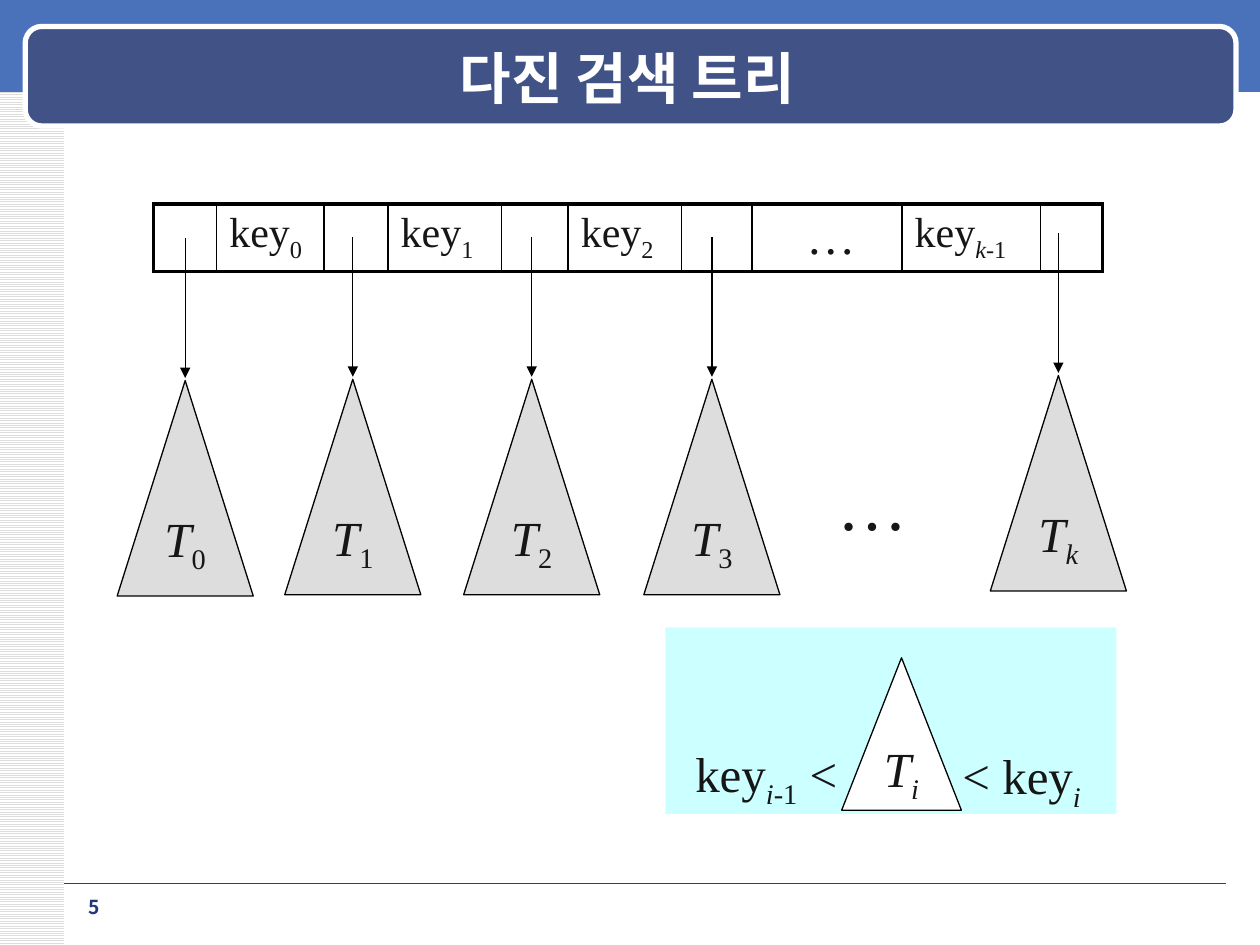
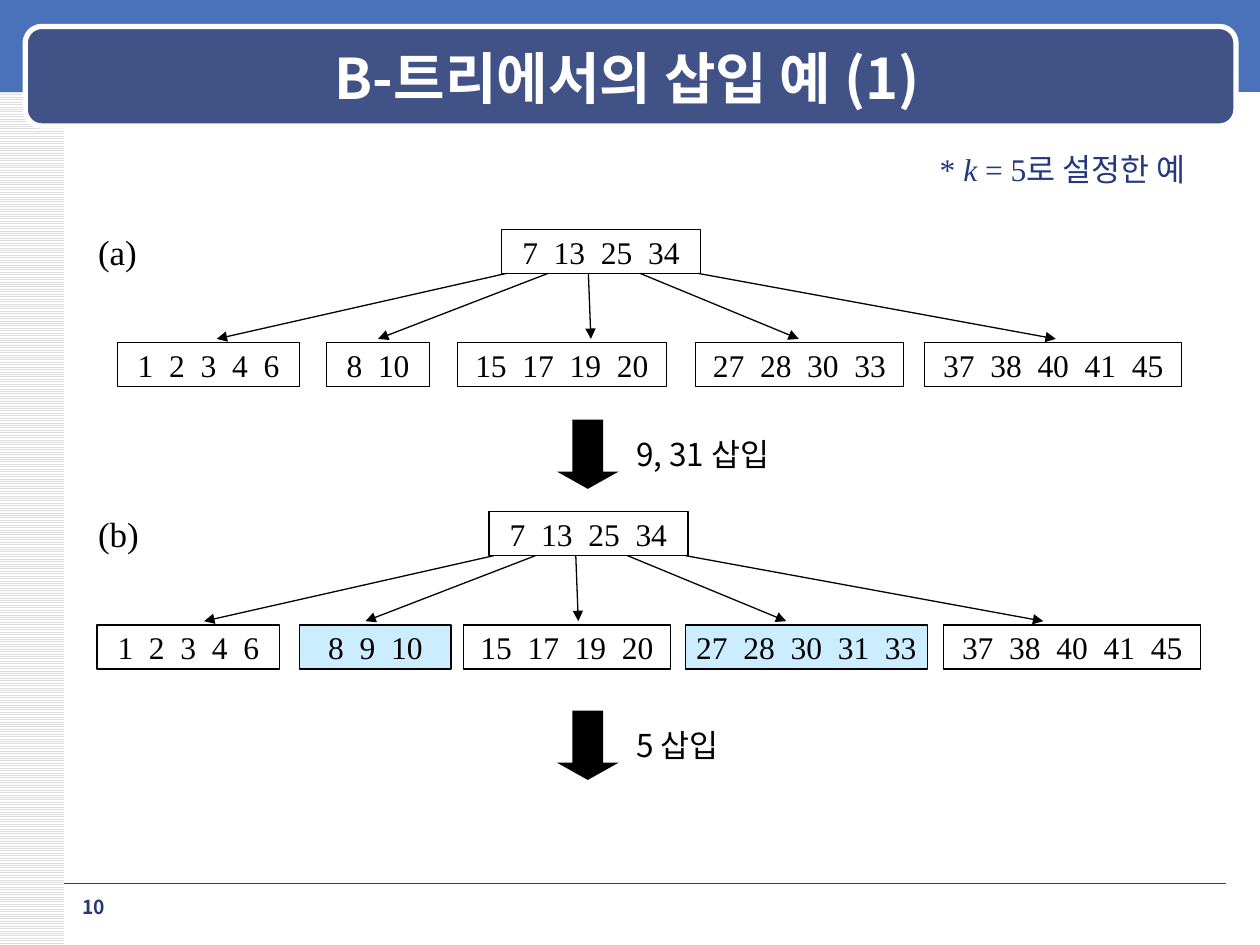
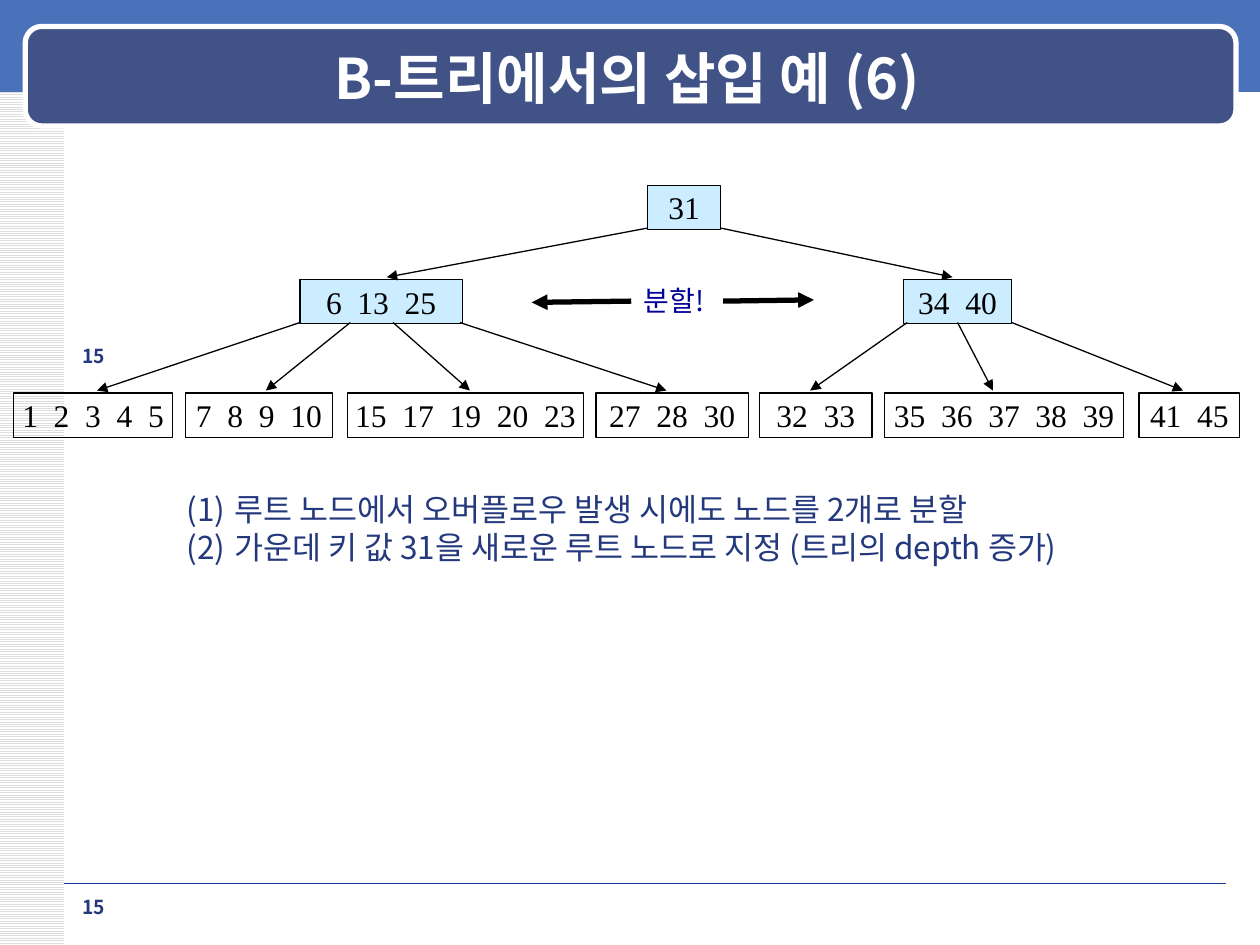
from lxml import etree
from pptx import Presentation
from pptx.dml.color import RGBColor
from pptx.enum.dml import MSO_PATTERN
from pptx.enum.shapes import MSO_CONNECTOR, MSO_SHAPE
from pptx.enum.text import MSO_ANCHOR, MSO_AUTO_SIZE, PP_ALIGN
from pptx.oxml.ns import qn
from pptx.util import Inches, Pt

RECT, ROUND = MSO_SHAPE.RECTANGLE, MSO_SHAPE.ROUNDED_RECTANGLE
TRIANGLE, DOWN = MSO_SHAPE.ISOSCELES_TRIANGLE, MSO_SHAPE.DOWN_ARROW
STRAIGHT = MSO_CONNECTOR.STRAIGHT
STRIPES = MSO_PATTERN.LIGHT_HORIZONTAL
MIDDLE, CENTER = MSO_ANCHOR.MIDDLE, PP_ALIGN.CENTER
NO_FIT, GROW = MSO_AUTO_SIZE.NONE, MSO_AUTO_SIZE.SHAPE_TO_FIT_TEXT

SANS, SERIF = "Noto Sans CJK KR", "Times New Roman"
WHITE, BLACK, INK, NAVY = "FFFFFF", "000000", "161616", "23387D"
BAND, TITLE_BAR, RULE, GREY = "4972BB", "405286", "1A3D97", "DDDDDD"
CHANGED, PANEL, SPLIT = "CCECFF", "CCFFFF", "000099"
TITLE_ONLY, TITLE_BODY = 5, 1


def rgb(color):
    return RGBColor.from_string(color)


def inches(*values):
    return [Inches(v) for v in values]


def write(p, parts, size, color, font=SERIF, bold=False):
    """Parts are a string or (text, marks) pairs: i is italic, _ is subscript."""
    if isinstance(parts, str):
        parts = [(parts, "")]
    for text, marks in parts:
        r = p.add_run()
        r.text = text
        f = r.font
        f.size, f.name, f.bold, f.italic = Pt(size), font, bold, "i" in marks
        f.color.rgb = rgb(color)
        r_pr = r._r.get_or_add_rPr()
        etree.SubElement(r_pr, qn("a:ea")).set("typeface", SANS)
        if "_" in marks:
            r_pr.set("baseline", "-25000")


def add_box(s, preset, at, fill=None, line=None, width=0.75):
    sp = s.shapes.add_shape(preset, *inches(*at))
    sp.shadow.inherit = False
    if fill:
        sp.fill.solid()
        sp.fill.fore_color.rgb = rgb(fill)
    else:
        sp.fill.background()
    if line:
        sp.line.color.rgb = rgb(line)
        sp.line.width = Pt(width)
    else:
        sp.line.fill.background()
    return sp


def add_label(sp, parts, size, color):
    tf = sp.text_frame
    tf.word_wrap = False
    tf.vertical_anchor = MIDDLE
    tf.paragraphs[0].alignment = CENTER
    write(tf.paragraphs[0], parts, size, color)


def add_text(s, at, parts, size, color, font=SERIF):
    tf = s.shapes.add_textbox(*inches(*at)).text_frame
    tf.word_wrap = False
    tf.auto_size = GROW
    write(tf.paragraphs[0], parts, size, color, font)


def add_line(s, x1, y1, x2, y2, color=BLACK, width=0.75, arrow=True):
    cxn = s.shapes.add_connector(STRAIGHT, *inches(x1, y1, x2, y2))
    cxn.line.color.rgb = rgb(color)
    cxn.line.width = Pt(width)
    sp_pr = cxn.element.spPr
    if arrow:
        etree.SubElement(sp_pr.find(qn("a:ln")), qn("a:tailEnd")).set("type", "triangle")
    etree.SubElement(sp_pr, qn("a:effectLst"))
    return cxn


def decorate_master(prs, s):
    stripes = add_box(s, RECT, (0, 0, 0.51, 7.5), GREY)
    stripes.fill.patterned()
    stripes.fill.pattern = STRIPES
    stripes.fill.fore_color.rgb = rgb(GREY)
    stripes.fill.back_color.rgb = rgb(WHITE)
    parts = [
        stripes,
        add_box(s, RECT, (0, -0.03, 10, 0.76), BAND),
        add_line(s, 0.51, 7.01, 9.73, 7.01, RULE, 0.25, arrow=False),
        add_box(s, ROUND, (0.2, 0.21, 9.61, 0.79), TITLE_BAR, WHITE, 3),
    ]
    master = prs.slide_master
    for i, part in enumerate(parts):
        part.element.xpath(".//p:cNvPr")[0].set("id", str(101 + i))
        master.shapes.element.insert(2 + i, part.element)
    title = master.placeholders[0]
    title.left, title.top, title.width, title.height = inches(0.71, 0.3, 8.54, 0.62)


def add_number(s, number, top=7.06):
    tf = s.shapes.add_textbox(*inches(0.51, top, 0.47, 0.27)).text_frame
    tf.word_wrap = True
    tf.paragraphs[0].alignment = CENTER
    write(tf.paragraphs[0], number, 11, NAVY, SANS, bold=True)


def set_heading(s, title, number):
    tf = s.shapes.title.text_frame
    tf.auto_size = NO_FIT
    tf.vertical_anchor = MIDDLE
    tf.paragraphs[0].alignment = CENTER
    write(tf.paragraphs[0], title, 32, WHITE, SANS, bold=True)
    add_number(s, number)


def set_border(cell, side, width):
    ln = etree.SubElement(cell._tc.get_or_add_tcPr(), qn(f"a:ln{side}"), w=str(Pt(width)))
    fill = etree.SubElement(ln, qn("a:solidFill"))
    etree.SubElement(fill, qn("a:srgbClr")).set("val", BLACK)


def key_table(s, left, top):
    widths = [0.5, 0.85, 0.51, 0.9, 0.53, 0.9, 0.56, 1.19, 1.1, 0.49]
    keys = {1: [("0", "_")], 3: [("1", "_")], 5: [("2", "_")], 8: [("k-", "i_"), ("1", "_")]}
    frame = s.shapes.add_table(1, len(widths), *inches(left, top, sum(widths), 0.53))
    table = frame.table
    table.first_row = table.horz_banding = False
    for i, width in enumerate(widths):
        table.columns[i].width = Inches(width)
        cell = table.cell(0, i)
        cell.margin_bottom = Inches(0.02)
        set_border(cell, "L", 2.25 if i == 0 else 1)
        set_border(cell, "R", 2.25 if i == len(widths) - 1 else 1)
        set_border(cell, "T", 2.25)
        set_border(cell, "B", 2.25)
        cell.fill.background()
        p = cell.text_frame.paragraphs[0]
        if i in keys:
            write(p, [("key", "")] + keys[i], 24, INK)
        elif i == 7:
            cell.margin_left = Inches(0.43)
            write(p, "…", 28, INK)


def subtree(s, left, top, width, height, index, marks, fill):
    sp = add_box(s, TRIANGLE, (left, top, width, height), fill, BLACK)
    add_label(sp, [("T", "i"), (index, marks)], 28, INK)


def order_rule(s, left, top):
    add_box(s, RECT, (left, top, 3.58, 1.48), PANEL)
    subtree(s, left + 1.4, top + 0.24, 0.95, 1.21, "i", "i_", WHITE)
    add_text(s, (left + 0.14, top + 0.87, 1.37, 0.57),
             [("key", ""), ("i-", "i_"), ("1", "_"), (" <", "")], 28, INK)
    add_text(s, (left + 2.26, top + 0.89, 1.15, 0.57), [("< key", ""), ("i", "i_")], 28, INK)


def search_tree_slide(s):
    set_heading(s, "다진 검색 트리", "5")
    key_table(s, 1.22, 1.62)
    subtrees = [(0.93, 3.02, "0", "_"), (2.26, 3.01, "1", "_"), (3.68, 3.01, "2", "_"),
                (5.11, 3.01, "3", "_"), (7.86, 2.98, "k", "i_")]
    for left, top, index, marks in subtrees:
        subtree(s, left, top, 1.08, 1.71, index, marks, GREY)
        add_line(s, left + 0.54, top - 1.13, left + 0.54, top - 0.02)
    add_text(s, (6.55, 3.61, 0.76, 0.77), "…", 40, INK)
    order_rule(s, 5.28, 4.98)


def node_row(s, left, top, nodes, changed=()):
    for x, width, keys in nodes:
        fill = CHANGED if keys in changed else None
        sp = add_box(s, RECT, (left + x, top, width, 0.35), fill, BLACK)
        add_label(sp, "  ".join(keys.split()), 18, BLACK)


def branches(s, left, top, bottom, spans):
    for start, end in spans:
        add_line(s, left + start, top, left + end, bottom)


def five_way_tree(s, left, top, label, root_x, leaves, changed=()):
    add_text(s, (left, top - 0.04, 0.6, 0.43), label, 20, BLACK)
    node_row(s, left, top, [(root_x, 1.58, "7 13 25 34")])
    node_row(s, left, top + 0.9, leaves, changed)
    branches(s, left + root_x, top + 0.35, top + 0.87,
             [(0.04, -2.26), (0.37, -0.98), (0.69, 0.71), (1.1, 2.36), (1.56, 4.4)])


def insert_step(s, left, top, text, width):
    arrow = add_box(s, DOWN, (left, top, 0.49, 0.55), BLACK)
    arrow.adjustments[1] = 0.28
    add_text(s, (left + 0.53, top + 0.07, width, 0.4), text, 18, BLACK, SANS)


def insertion_slide(s):
    set_heading(s, "B-트리에서의 삽입 예 (1)", "10")
    add_text(s, (7.36, 1.14, 2.3, 0.4),
             [("* ", ""), ("k", "i"), (" = 5로 설정한 예", "")], 18, NAVY)
    five_way_tree(s, 0.68, 1.82, "(a)", 3.3, [
        (0.25, 1.45, "1 2 3 4 6"), (1.91, 0.82, "8 10"), (2.95, 1.66, "15 17 19 20"),
        (4.84, 1.65, "27 28 30 33"), (6.66, 2.04, "37 38 40 41 45")])
    insert_step(s, 4.42, 3.33, "9, 31 삽입", 1.36)
    five_way_tree(s, 0.68, 4.06, "(b)", 3.2, [
        (0.09, 1.45, "1 2 3 4 6"), (1.7, 1.2, "8 9 10"), (3, 1.64, "15 17 19 20"),
        (4.76, 1.92, "27 28 30 31 33"), (6.81, 2.04, "37 38 40 41 45")],
        ("8 9 10", "27 28 30 31 33"))
    insert_step(s, 4.42, 5.64, "5 삽입", 0.93)


def split_tree(s, left, top):
    parents = [(2.27, 1.29, "6 13 25"), (7.06, 0.86, "34 40")]
    node_row(s, left, top, [(5.03, 0.58, "31")], ("31",))
    node_row(s, left, top + 0.75, parents, ("6 13 25", "34 40"))
    node_row(s, left, top + 1.65, [
        (0, 1.26, "1 2 3 4 5"), (1.36, 1.17, "7 8 9 10"), (2.65, 1.87, "15 17 19 20 23"),
        (4.62, 1.21, "27 28 30"), (5.92, 0.89, "32 33"), (6.91, 1.9, "35 36 37 38 39"),
        (8.93, 0.8, "41 45")])
    branches(s, left, top + 0.34, top + 0.73, [(5.03, 2.96), (5.61, 7.45)])
    branches(s, left, top + 1.09, top + 1.63, [
        (2.27, 0.66), (2.67, 2), (3.01, 3.62), (3.54, 5.18),
        (7.09, 6.32), (7.49, 7.77), (7.92, 9.28)])
    add_text(s, (left + 4.9, top + 0.73, 0.72, 0.37), "분할!", 16, SPLIT, SANS)
    add_line(s, left + 4.9, top + 0.92, left + 4.11, top + 0.93, width=3)
    add_line(s, left + 5.63, top + 0.92, left + 6.35, top + 0.91, width=3)


def numbered_list(s, at, items):
    body = s.placeholders[1]
    body.left, body.top, body.width, body.height = inches(*at)
    tf = body.text_frame
    tf.auto_size = NO_FIT
    for i, item in enumerate(items):
        p = tf.add_paragraph() if i else tf.paragraphs[0]
        p_pr = p._p.get_or_add_pPr()
        p_pr.set("marL", str(Inches(0.38)))
        p_pr.set("indent", str(-Inches(0.38)))
        etree.SubElement(p_pr, qn("a:buFont")).set("typeface", SANS)
        etree.SubElement(p_pr, qn("a:buAutoNum")).set("type", "arabicParenBoth")
        p.space_before = Pt(0)
        p.line_spacing = Pt(22)
        write(p, item, 18, NAVY, SANS)


def split_slide(s):
    set_heading(s, "B-트리에서의 삽입 예 (6)", "15")
    add_number(s, "15", 2.68)
    split_tree(s, 0.11, 1.47)
    numbered_list(s, (1.38, 3.83, 7.88, 0.71), [
        "루트 노드에서 오버플로우 발생 시에도 노드를 2개로 분할",
        "가운데 키 값 31을 새로운 루트 노드로 지정 (트리의 depth 증가)"])


def main():
    prs = Presentation()
    prs.slide_width, prs.slide_height = inches(10, 7.5)
    pages = [(TITLE_ONLY, search_tree_slide), (TITLE_ONLY, insertion_slide),
             (TITLE_BODY, split_slide)]
    for i, (layout, build) in enumerate(pages):
        s = prs.slides.add_slide(prs.slide_layouts[layout])
        if i == 0:
            decorate_master(prs, s)
        build(s)
    prs.save("out.pptx")


if __name__ == "__main__":
    main()
